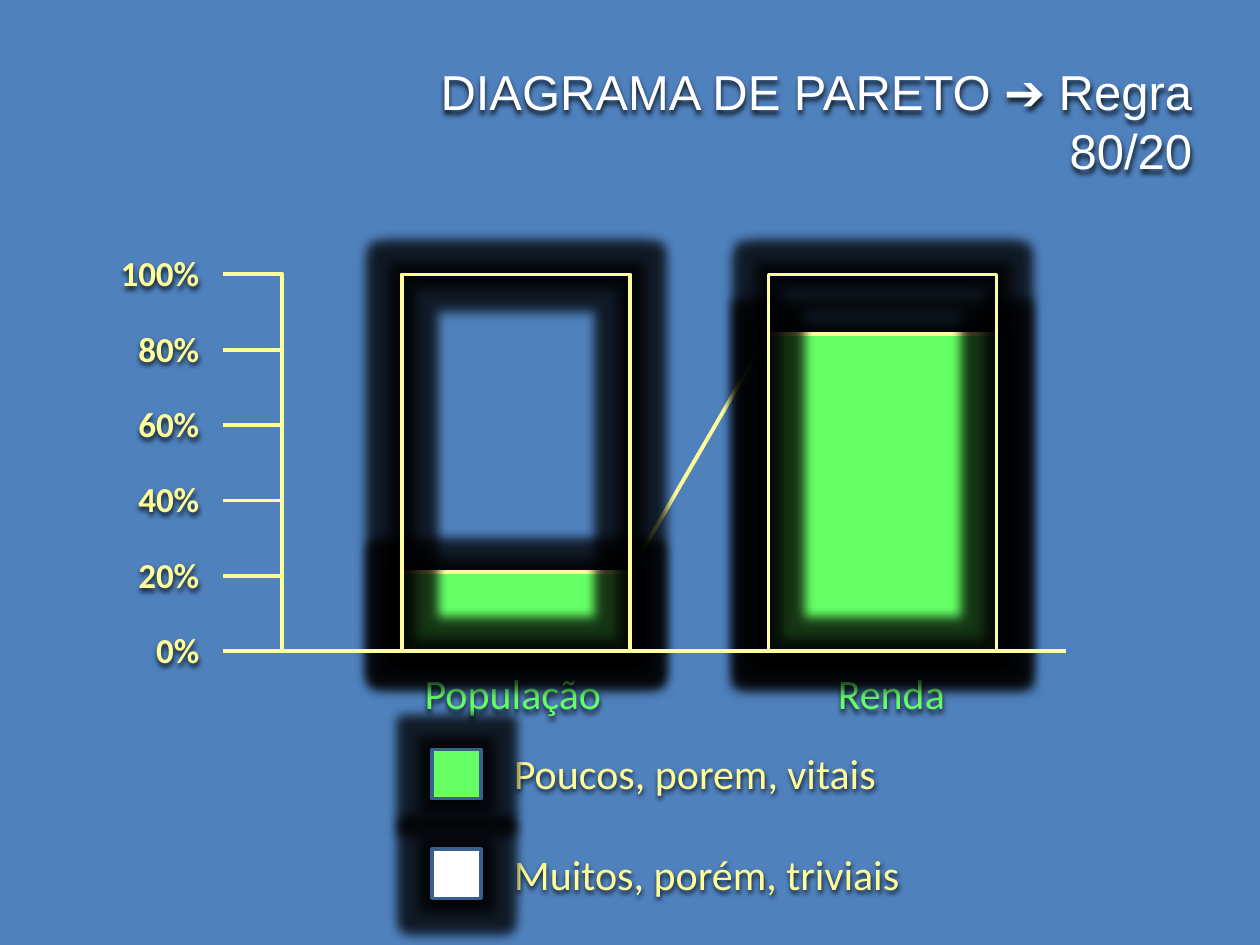
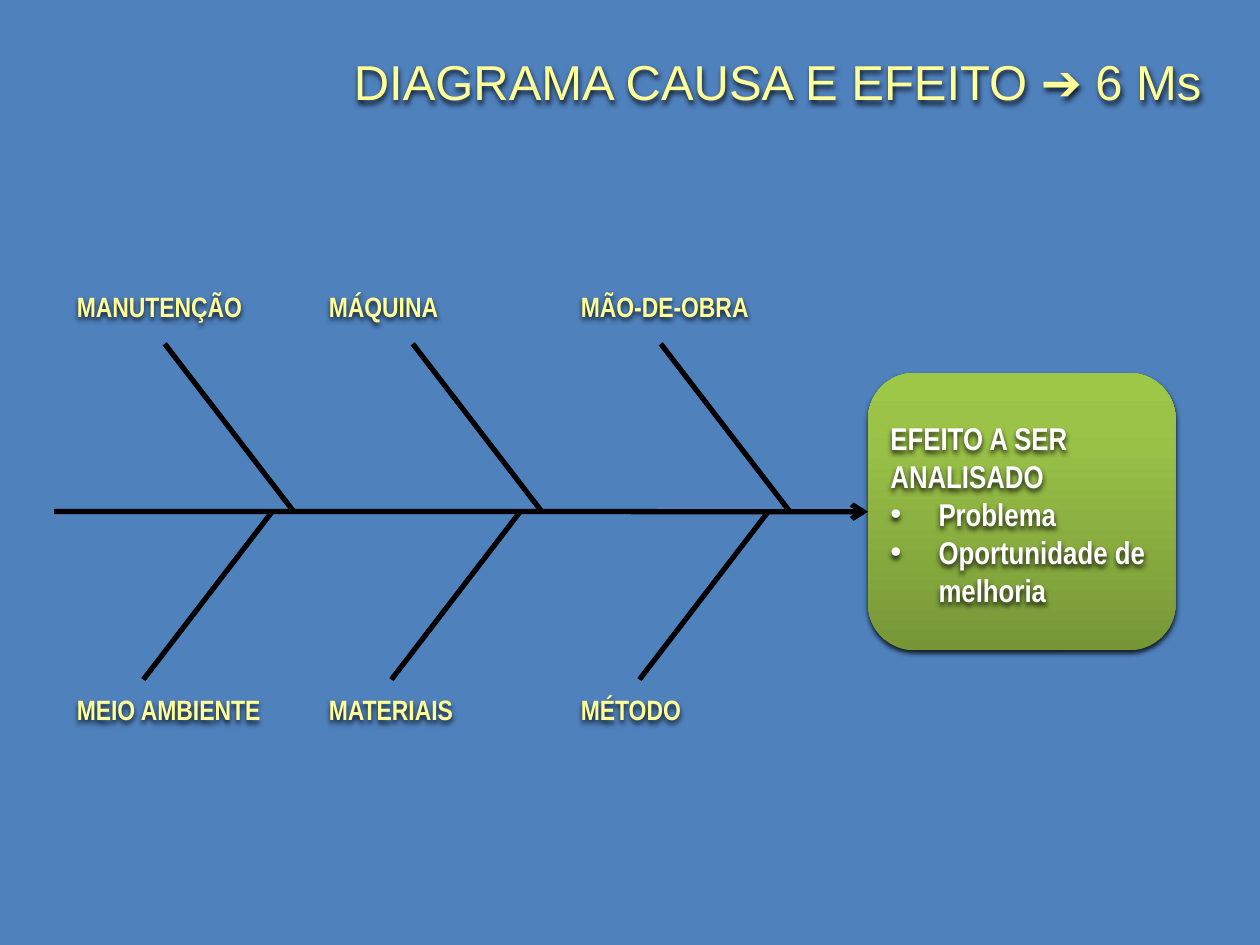
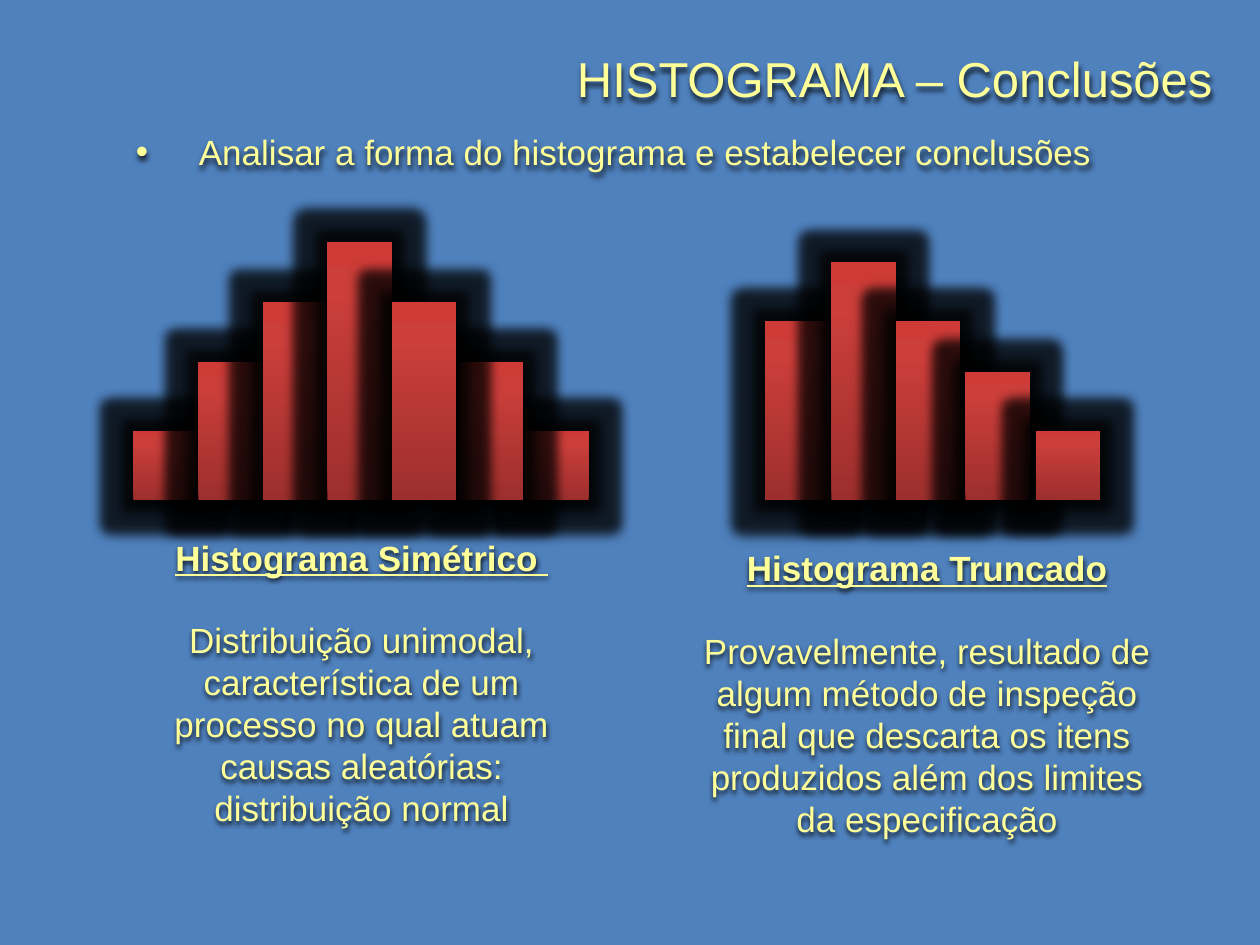
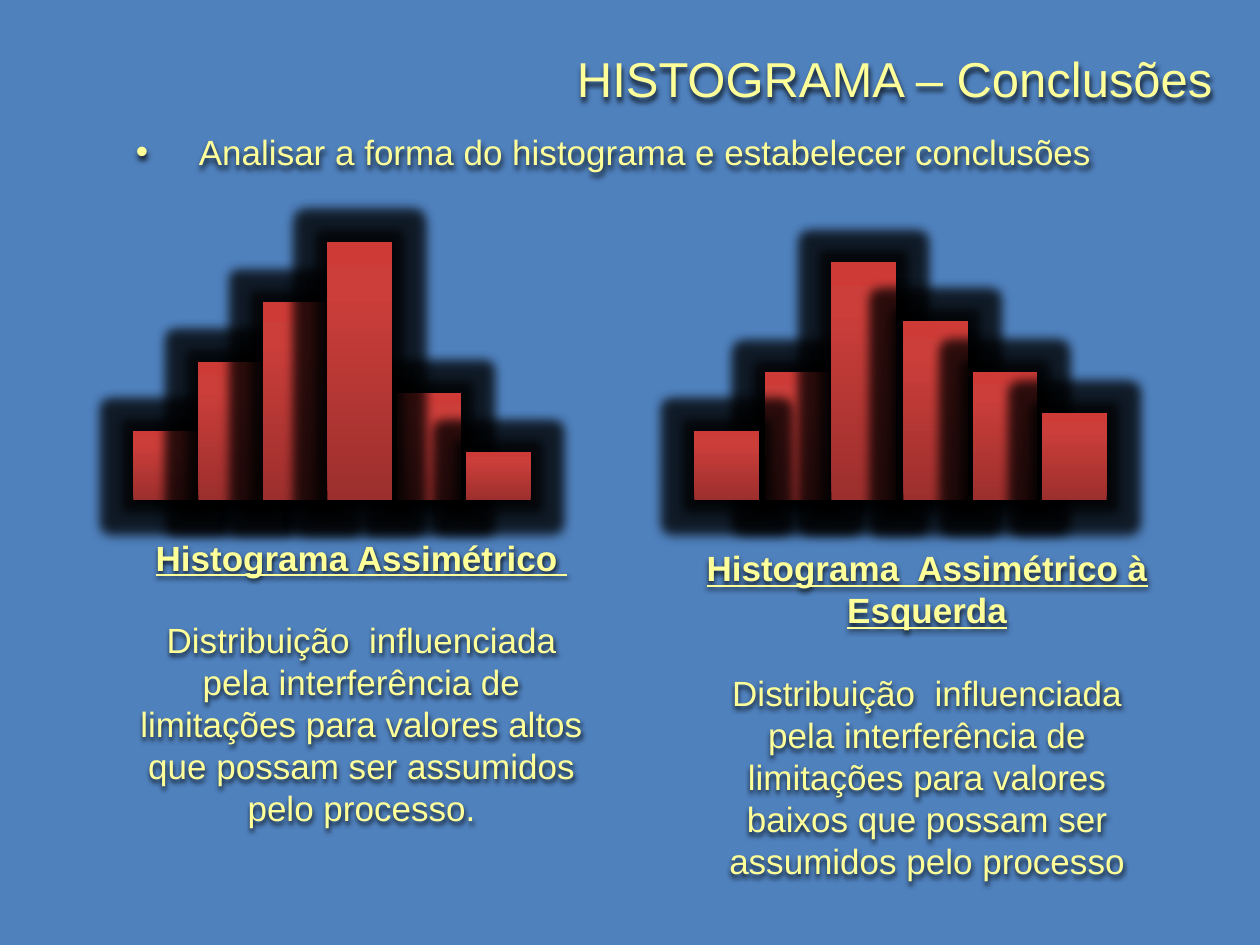
"""Build four slides on quality tools: Pareto, cause and effect, histograms."""
from lxml.etree import SubElement
from pptx import Presentation
from pptx.dml.color import RGBColor as Rgb
from pptx.enum.shapes import MSO_CONNECTOR as Link, MSO_SHAPE as Kind
from pptx.enum.text import PP_ALIGN as Align
from pptx.oxml.ns import qn
from pptx.util import Cm, Pt

COLORS = {
    "background": "4F81BD", "cream": "FFFF99", "white": "FFFFFF",
    "vital": "66FF66", "swatch_edge": "3A5F8C", "black": "000000",
}
RED = ((0, "9C2F2D"), (80, "CB3E3A"), (100, "CE3B37"))
GREEN = ((0, "779737"), (80, "9BC348"), (100, "9DC746"))

PARETO = {
    "title": "DIAGRAMA DE PARETO ➔ Regra 80/20",
    "scale": ["100%", "80%", "60%", "40%", "20%", "0%"],
    "categories": "População\tRenda",
    "bars": [(8.1, 1.6), (15.49, 6.4)],
    "legend": [("Poucos, porem, vitais", "vital"),
               ("Muitos, porém, triviais", "white")],
}
FISHBONE = {
    "title": "DIAGRAMA CAUSA E EFEITO ➔ 6 Ms",
    "causes": ["MANUTENÇÃO\tMÁQUINA\tMÃO-DE-OBRA",
               "MEIO AMBIENTE\tMATERIAIS\tMÉTODO"],
    "effect": ["EFEITO A SER ANALISADO", "Problema", "Oportunidade de melhoria"],
    "ribs": [(5.92, 6.93), (5.49, 13.7)],
}
HISTOGRAM_TITLE = "HISTOGRAMA – Conclusões"
HISTOGRAM_ADVICE = "Analisar a forma do histograma e estabelecer conclusões"
RISING = [(2.69, 1.4), (4.0, 2.79), (5.3, 3.99), (6.6, 5.21)]
HISTOGRAMS = [
    [
        ("Histograma Simétrico ",
         "Distribuição unimodal, característica de um processo no qual atuam "
         "causas aleatórias: distribuição normal",
         [(10.57, 1.4), (9.25, 2.79), *RISING, (7.9, 3.99)]),
        ("Histograma Truncado",
         "Provavelmente, resultado de algum método de inspeção final que "
         "descarta os itens produzidos além dos limites da especificação",
         [(15.42, 3.61), (16.76, 4.8), (18.06, 3.61), (19.46, 2.59), (20.88, 1.4)]),
    ],
    [
        ("Histograma Assimétrico ",
         "Distribuição  influenciada pela interferência de limitações para "
         "valores altos que possam ser assumidos pelo processo.",
         [(8.0, 2.16), (9.4, 0.97), *RISING]),
        ("Histograma  Assimétrico à Esquerda",
         "Distribuição  influenciada pela interferência de limitações para "
         "valores baixos que possam ser assumidos pelo processo",
         [(15.42, 2.57), (16.76, 4.8), (18.21, 3.61), (19.61, 2.59),
          (21.01, 1.75), (14.0, 1.4)]),
    ],
]
CONCLUSION_SPOTS = [(2.49, 10.69), (13.89, 10.9)]


def rgb(name):
    return Rgb.from_string(COLORS[name])


def add_effect(shape, tag, opacity, **sizes):
    effects = shape._element.spPr.find(qn("a:effectLst"))
    effect = SubElement(effects, qn(tag), {k: str(v) for k, v in sizes.items()})
    black = SubElement(effect, qn("a:srgbClr"), val=COLORS["black"])
    SubElement(black, qn("a:alpha"), val=str(opacity * 1000))


def add_shadow(shape, opacity=80):
    add_effect(shape, "a:outerShdw", opacity, blurRad=Pt(3.1), dist=Pt(1.8),
               dir=5400000, algn="ctr", rotWithShape=0)


def add_halo(shape):
    add_effect(shape, "a:glow", 60, rad=Pt(12.5))
    add_shadow(shape)


def add_box(slide, kind, box, fill=None, edge=None, width=2):
    shape = slide.shapes.add_shape(kind, *map(Cm, box))
    shape.shadow.inherit = False
    if fill is None:
        shape.fill.background()
    elif isinstance(fill, str):
        shape.fill.solid()
        shape.fill.fore_color.rgb = rgb(fill)
    else:
        shape.fill.gradient()
        shape.fill.gradient_angle = 90
        stops = shape._element.spPr.find(".//" + qn("a:gsLst"))
        stops.clear()
        for place, color in fill:
            stop = SubElement(stops, qn("a:gs"), pos=str(place * 1000))
            SubElement(stop, qn("a:srgbClr"), val=color)
    if edge:
        shape.line.color.rgb = rgb(edge)
        shape.line.width = Pt(width)
    else:
        shape.line.fill.background()
    return shape


def add_line(slide, start, end, color, width):
    line = slide.shapes.add_connector(Link.STRAIGHT, *map(Cm, start + end))
    line.line.color.rgb = rgb(color)
    line.line.width = Pt(width)
    SubElement(line._element.spPr, qn("a:effectLst"))
    return line


def add_text(slide, box, lines, size, font="Arial", color="cream", bold=False,
             align=Align.LEFT, gap=0):
    """Add a shadowed text box and return its paragraphs."""
    shape = slide.shapes.add_textbox(*map(Cm, box))
    shape.shadow.inherit = False
    add_shadow(shape)
    frame = shape.text_frame
    frame.word_wrap = True
    for i, line in enumerate(lines):
        para = frame.add_paragraph() if i else frame.paragraphs[0]
        para.text = line
        para.alignment = align
        para.font.size = Pt(size)
        para.font.name = font
        para.font.bold = bold
        para.font.color.rgb = rgb(color)
        if i and gap:
            para.space_before = Pt(gap)
    return frame.paragraphs


def set_bullet(para, indent):
    props = para._p.get_or_add_pPr()
    props.set("marL", str(Cm(indent)))
    props.set("indent", str(-Cm(indent)))
    SubElement(props, qn("a:buFont"), typeface="Arial")
    SubElement(props, qn("a:buChar"), char="•")


def set_tabs(para, *places):
    tabs = SubElement(para._p.get_or_add_pPr(), qn("a:tabLst"))
    for place in places:
        SubElement(tabs, qn("a:tab"), pos=str(Cm(place)), algn="l")


def new_slide(deck):
    slide = deck.slides.add_slide(deck.slide_layouts[6])
    slide.background.fill.solid()
    slide.background.fill.fore_color.rgb = rgb("background")
    return slide


def add_title(slide, title, left, top, width, color="cream"):
    add_text(slide, (left, top, width, 1.45), [title], 28, color=color,
             align=Align.RIGHT)


def build_pareto(deck):
    slide = new_slide(deck)
    base, full, step, bar_width = 13.13, 7.6, 1.52, 4.6
    (people, people_vital), (income, income_vital) = PARETO["bars"]
    add_line(slide, (income, base - income_vital),
             (people + bar_width, base - people_vital), "cream", 2.25)
    add_title(slide, PARETO["title"], 5.89, 1.12, 18.39, "white")
    for left, vital in PARETO["bars"]:
        add_halo(add_box(slide, Kind.RECTANGLE,
                         (left, base - vital, bar_width, vital), "vital", "cream"))
    for i, percent in enumerate(PARETO["scale"]):
        add_text(slide, (1.73, 4.95 + i * step, 2.54, 1.12), [percent], 20,
                 "Calibri", bold=True, align=Align.RIGHT)
    categories = add_text(slide, (8.31, 13.34, 11.07, 1.27),
                          [PARETO["categories"]], 24, "Calibri", "vital")
    set_tabs(categories[0], 8.33)
    add_text(slide, (10.11, 14.94, 8.36, 3.33),
             [label for label, _ in PARETO["legend"]], 24, "Calibri", gap=28.8)
    for i, (_, color) in enumerate(PARETO["legend"]):
        add_halo(add_box(slide, Kind.RECTANGLE, (8.71, 15.11 + i * 2.01, 0.99, 0.99),
                         color, "swatch_edge"))
    for left, _ in PARETO["bars"]:
        add_halo(add_box(slide, Kind.RECTANGLE,
                         (left, base - full, bar_width, full), edge="cream"))
    add_line(slide, (21.49, base), (4.5, base), "cream", 2.25)
    for i in range(len(PARETO["scale"]) - 1):
        bracket = add_box(slide, Kind.RIGHT_BRACKET,
                          (4.5, base - (i + 1) * step, 1.19, step),
                          edge="cream", width=2.25)
        bracket.adjustments[0] = 0


def build_fishbone(deck):
    slide = new_slide(deck)
    spine_y = 10.31
    add_title(slide, FISHBONE["title"], 3.51, 0.91, 20.96)
    causes = add_text(slide, (1.3, 5.72, 14.2, 9.14), FISHBONE["causes"], 16,
                      "Arial Narrow", bold=True, gap=211)
    for row in causes:
        set_tabs(row, 5.08, 10.16)
    effect = add_box(slide, Kind.ROUNDED_RECTANGLE, (17.5, 7.52, 6.2, 5.59), GREEN)
    add_shadow(effect)
    details = add_text(slide, (17.7, 8.33, 6.4, 4.11), FISHBONE["effect"], 18,
                       "Arial Narrow", "white", bold=True)
    for detail in details[1:]:
        set_bullet(detail, 0.97)
    spine = add_line(slide, (1.09, spine_y), (17.5, spine_y), "black", 3)
    spine.end_connect(effect, 1)
    SubElement(spine.line._get_or_add_ln(), qn("a:tailEnd"), type="arrow")
    for first, tip_y in FISHBONE["ribs"]:
        for i in range(3):
            joint = first + 5 * i
            add_line(slide, (joint, spine_y), (joint - 2.6, tip_y), "black", 3)


def build_histograms(deck, pair):
    slide = new_slide(deck)
    base, bar_width = 10.08, 1.3
    add_title(slide, HISTOGRAM_TITLE, 4.93, 0.86, 19.76)
    advice = add_text(slide, (2.49, 2.51, 21.16, 1.12), [HISTOGRAM_ADVICE], 20)
    set_bullet(advice[0], 1.27)
    for (heading, conclusion, bars), (left, top) in zip(pair, CONCLUSION_SPOTS):
        for x, height in bars:
            add_halo(add_box(slide, Kind.RECTANGLE,
                             (x, base - height, bar_width, height), RED))
        name, _ = add_text(slide, (left, top, 9.6, 6.25), [heading, conclusion],
                           20, align=Align.CENTER, gap=23)
        name.font.bold = True
        name.font.underline = True


def main():
    deck = Presentation()
    deck.slide_width, deck.slide_height = Cm(25.4), Cm(19.05)
    build_pareto(deck)
    build_fishbone(deck)
    for pair in HISTOGRAMS:
        build_histograms(deck, pair)
    deck.save("out.pptx")


if __name__ == "__main__":
    main()
